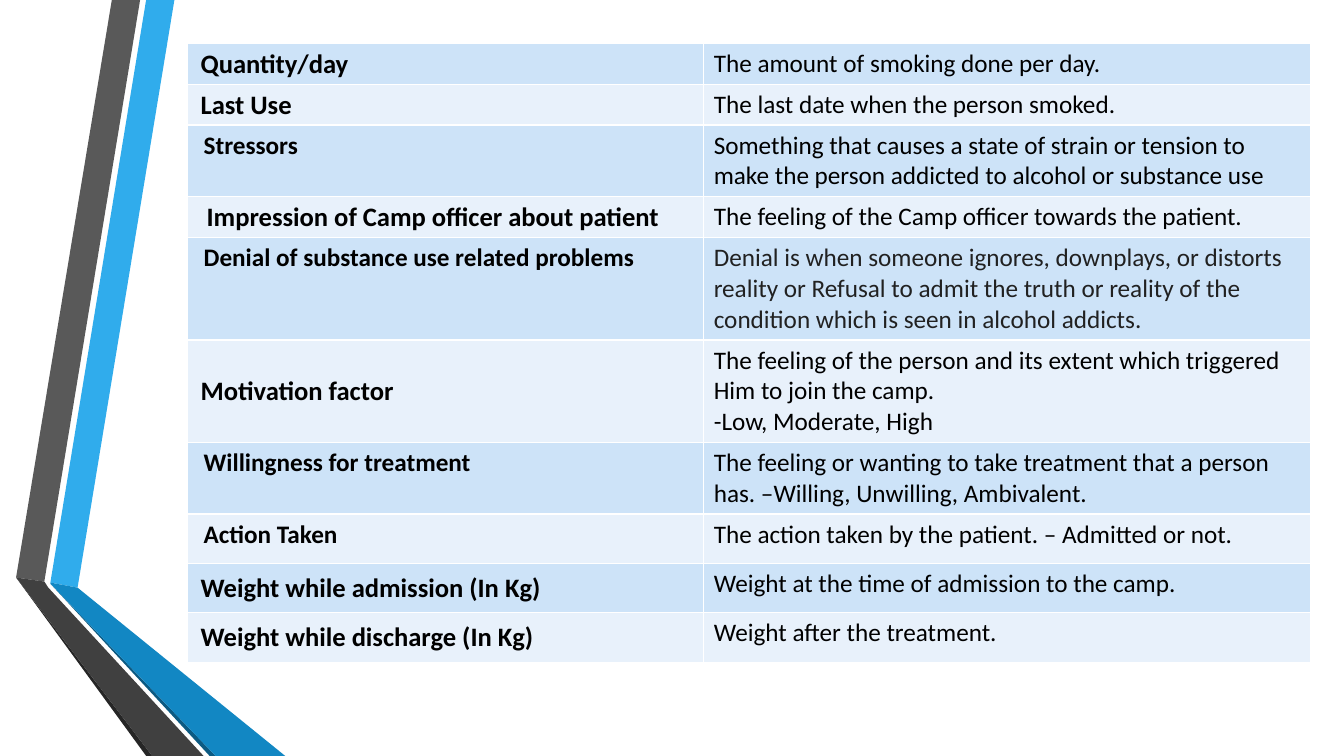
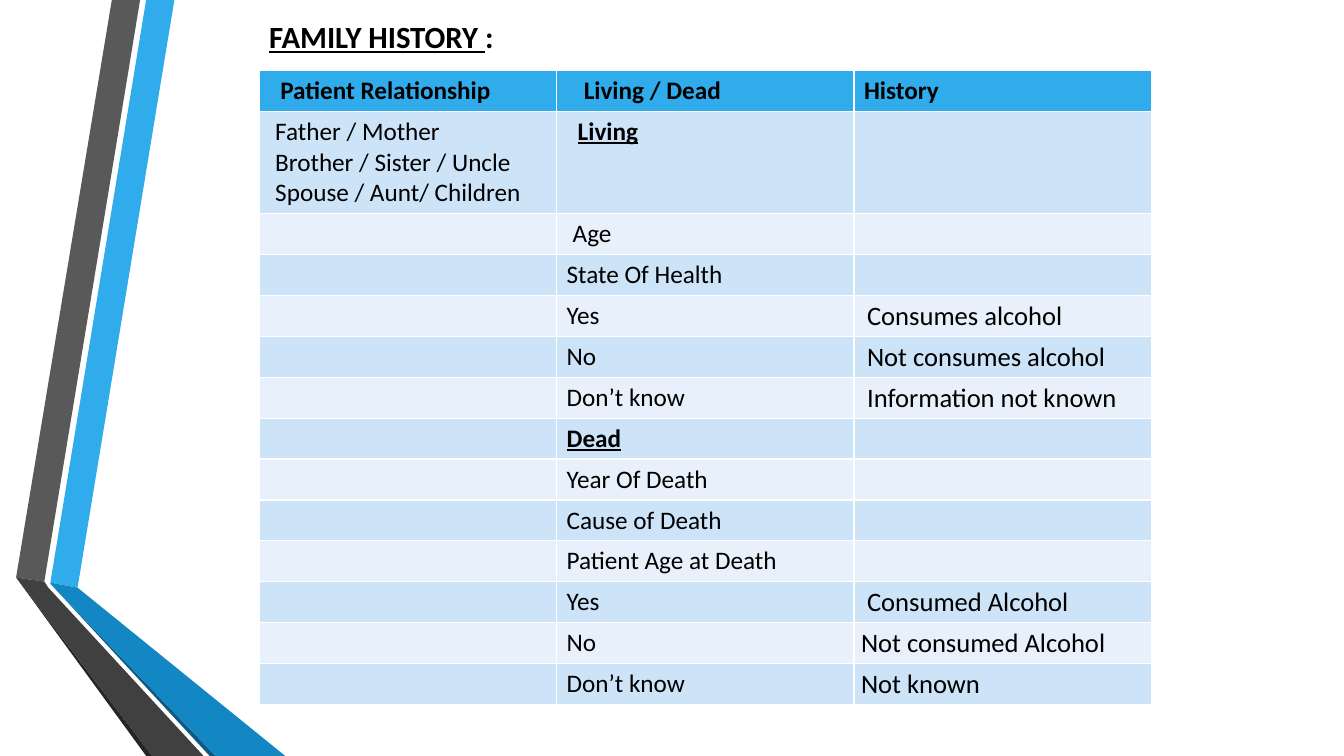
from dataclasses import dataclass

from pptx import Presentation
from pptx.dml.color import RGBColor
from pptx.enum.text import MSO_ANCHOR as Anchor, MSO_AUTO_SIZE as AutoSize, PP_ALIGN as Align
from pptx.slide import Slide, SlideMaster
from pptx.table import _Cell as TableCell
from pptx.text.text import _Run as Span
from pptx.util import Inches, Pt

# Shared look
FONT = "Calibri"
BLACK = RGBColor(0x00, 0x00, 0x00)
CHARCOAL = RGBColor(0x21, 0x21, 0x21)
BLUE = RGBColor(0x30, 0xAC, 0xEC)
MID_BLUE = RGBColor(0x12, 0x87, 0xC3)
DEEP_BLUE = RGBColor(0x0C, 0x5A, 0x82)
GRAY = RGBColor(0x59, 0x59, 0x59)
DARK_GRAY = RGBColor(0x40, 0x40, 0x40)
DEEP_GRAY = RGBColor(0x26, 0x26, 0x26)
BAND_DARK = RGBColor(0xCD, 0xE3, 0xF8)
BAND_LIGHT = RGBColor(0xE8, 0xF1, 0xFB)

TITLE_ONLY, BLANK = 5, 6
LINE_ROW, TWO_LINE_ROW, THREE_LINE_ROW, TALL_ROW = 0.4, 0.7, 1.01, 0.49


@dataclass(frozen=True)
class Ribbon:
    color: RGBColor
    points: tuple[tuple[float, float], ...]


@dataclass(frozen=True)
class Entry:
    """Text of one table cell, with its left margin in inches."""
    text: str = ""
    left: float = 0.1
    size: int = 18
    bold: bool = False
    underline: bool = False
    color: RGBColor = BLACK
    centered: bool = False


@dataclass(frozen=True)
class Row:
    height: float
    entries: tuple[Entry, ...]


def large(text: str, left: float = 0.13, bold: bool = False) -> Entry:
    return Entry(text, left, size=19, bold=bold, centered=True)


def label(text: str) -> Entry:
    return Entry(text, 0.16, bold=True)


def large_label(text: str, left: float = 0.13) -> Entry:
    return large(text, left, bold=True)


RIBBONS = (
    Ribbon(BLUE, ((0.5, 5.78), (0.77, 5.83), (1.73, 0), (1.45, 0))),
    Ribbon(GRAY, ((1.39, 0), (1.11, 0), (0.16, 5.73), (0.44, 5.77))),
    Ribbon(DEEP_GRAY, ((0.16, 5.73), (1.45, 7.5), (1.51, 7.5))),
    Ribbon(DEEP_BLUE, ((0.5, 5.79), (2.08, 7.5), (2.14, 7.5))),
    Ribbon(MID_BLUE, ((0.5, 5.79), (2.14, 7.5), (2.83, 7.5), (0.77, 5.83), (0.5, 5.78))),
    Ribbon(DARK_GRAY, ((2.02, 7.5), (0.48, 5.83), (0.44, 5.77), (0.16, 5.73), (1.51, 7.5))),
)

# Explanations of the form fields
FIELD_ROWS = (
    Row(LINE_ROW, (large_label("Quantity/day"),
                   Entry("The amount of smoking done per day."))),
    Row(LINE_ROW, (large_label("Last Use"),
                   Entry("The last date when the person smoked."))),
    Row(TWO_LINE_ROW, (label("Stressors"),
                       Entry("Something that causes a state of strain or tension to make "
                             "the person addicted to alcohol or substance use"))),
    Row(LINE_ROW, (large_label("Impression of Camp officer about patient", 0.19),
                   Entry("The feeling of the Camp officer towards the patient."))),
    Row(THREE_LINE_ROW, (label("Denial of substance use related problems"),
                         Entry("Denial is when someone ignores, downplays, or distorts "
                               "reality or Refusal to admit the truth or reality of the "
                               "condition which is seen in alcohol addicts.",
                               color=CHARCOAL))),
    Row(THREE_LINE_ROW, (large_label("Motivation factor"),
                         Entry("The feeling of the person and its extent which triggered\n"
                               "Him to join the camp.\n-Low, Moderate, High"))),
    Row(TWO_LINE_ROW, (label("Willingness for treatment"),
                       Entry("The feeling or wanting to take treatment that a person has. "
                             "–Willing, Unwilling, Ambivalent."))),
    Row(TALL_ROW, (label("Action Taken"),
                   Entry("The action taken by the patient. – Admitted or not."))),
    Row(TALL_ROW, (large_label("Weight while admission (In Kg)"),
                   Entry("Weight at the time of admission to the camp."))),
    Row(TALL_ROW, (large_label("Weight while discharge (In Kg)"),
                   Entry("Weight after the treatment."))),
)

# Family history: status and history stand beside an empty first column
STATUS_ROWS = (
    (Entry("Age", 0.16), Entry()),
    (Entry("State Of Health"), Entry()),
    (Entry("Yes"), large("Consumes alcohol")),
    (Entry("No"), large("Not consumes alcohol")),
    (Entry("Don’t know"), large("Information not known")),
    (Entry("Dead", bold=True, underline=True), Entry()),
    (Entry("Year Of Death"), Entry()),
    (Entry("Cause of Death"), Entry()),
    (Entry("Patient Age at Death"), Entry()),
    (Entry("Yes"), large("Consumed Alcohol")),
    (Entry("No"), large("Not consumed Alcohol", 0.07)),
    (Entry("Don’t know"), large("Not known", 0.07)),
)
FAMILY_ROWS = (
    Row(LINE_ROW, (Entry("Patient Relationship", 0.21, bold=True),
                   Entry("Living / Dead", 0.27, bold=True),
                   Entry("History", bold=True))),
    Row(THREE_LINE_ROW, (Entry("Father / Mother\nBrother / Sister / Uncle\n"
                               "Spouse / Aunt/ Children", 0.16),
                         Entry("Living", 0.21, bold=True, underline=True),
                         Entry())),
    *(Row(LINE_ROW, (Entry(), *pair)) for pair in STATUS_ROWS),
)


def format_span(span: Span, size: int, bold: bool, underline: bool,
                color: RGBColor = BLACK) -> None:
    values = {"name": FONT, "size": Pt(size), "bold": bold, "underline": underline}
    for name, value in values.items():
        setattr(span.font, name, value)
    span.font.color.rgb = color


def add_ribbons(slide: Slide, master: SlideMaster) -> None:
    """Build the ribbons, then place them on the master for every slide."""
    for ribbon in RIBBONS:
        start, *others = [(Inches(x), Inches(y)) for x, y in ribbon.points]
        builder = slide.shapes.build_freeform(*start)
        builder.add_line_segments(others, close=True)
        shape = builder.convert_to_shape()
        shape.shadow.inherit = False
        shape.fill.solid()
        shape.fill.fore_color.rgb = ribbon.color
        shape.line.fill.background()
        master.shapes.element.append(shape.element)


def fill_cell(cell: TableCell, entry: Entry, color: RGBColor) -> None:
    cell.fill.solid()
    cell.fill.fore_color.rgb = color
    values = {"margin_left": Inches(entry.left)}
    if entry.centered:
        values |= {"vertical_anchor": Anchor.MIDDLE, "margin_top": Inches(0.01),
                   "margin_right": Inches(0.01), "margin_bottom": 0}
    for name, value in values.items():
        setattr(cell, name, value)
    if not entry.text:
        return
    cell.text_frame.text = entry.text
    for para in cell.text_frame.paragraphs:
        for span in para.runs:
            format_span(span, entry.size, entry.bold, entry.underline, entry.color)


def add_banded_table(slide: Slide, left: float, top: float, widths: tuple[float, ...],
                     rows: tuple[Row, ...], has_header: bool) -> None:
    height = sum(row.height for row in rows)
    table = slide.shapes.add_table(len(rows), len(widths), Inches(left), Inches(top),
                                   Inches(sum(widths)), Inches(height)).table
    table.first_row = has_header
    for column, width in zip(table.columns, widths):
        column.width = Inches(width)
    for index, row in enumerate(rows):
        table.rows[index].height = Inches(row.height)
        band = (BAND_DARK, BAND_LIGHT)[(index - has_header) % 2]
        color = BLUE if has_header and index == 0 else band
        for column_index, entry in enumerate(row.entries):
            fill_cell(table.cell(index, column_index), entry, color)


def set_title(slide: Slide, underlined: str, ending: str) -> None:
    title = slide.shapes.title
    box = {"left": 2.57, "top": 0.13, "width": 2.76, "height": 0.47}
    for name, value in box.items():
        setattr(title, name, Inches(value))
    frame = title.text_frame
    values = {"word_wrap": True, "auto_size": AutoSize.NONE, "vertical_anchor": Anchor.TOP}
    for name, value in values.items():
        setattr(frame, name, value)
    para = frame.paragraphs[0]
    para.alignment = Align.LEFT
    for text, underline in ((underlined, True), (ending, False)):
        span = para.add_run()
        span.text = text
        format_span(span, 22, True, underline)


def main() -> None:
    deck = Presentation()
    deck.slide_width, deck.slide_height = Inches(13.33), Inches(7.5)

    # Form fields
    fields = deck.slides.add_slide(deck.slide_layouts[BLANK])
    add_ribbons(fields, deck.slide_master)
    add_banded_table(fields, 1.86, 0.43, (5.12, 6.02), FIELD_ROWS, has_header=False)

    # Family history
    family = deck.slides.add_slide(deck.slide_layouts[TITLE_ONLY])
    set_title(family, "FAMILY HISTORY ", ":")
    add_banded_table(family, 2.57, 0.7, (2.95,) * 3, FAMILY_ROWS, has_header=True)

    deck.save("out.pptx")


if __name__ == "__main__":
    main()
